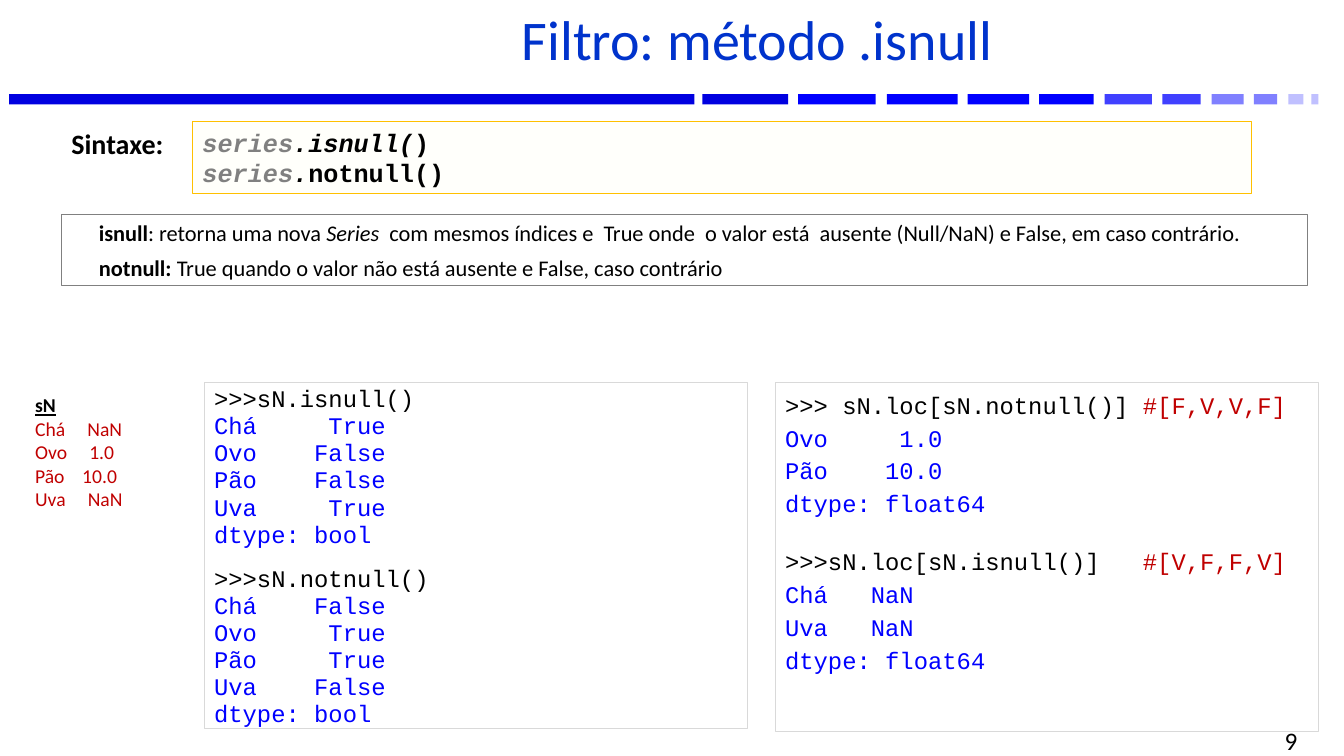
from pptx import Presentation
from pptx.dml.color import RGBColor
from pptx.enum.shapes import MSO_SHAPE
from pptx.enum.text import MSO_ANCHOR, PP_ALIGN
from pptx.util import Pt

RECT = MSO_SHAPE.RECTANGLE
TOP, MIDDLE = MSO_ANCHOR.TOP, MSO_ANCHOR.MIDDLE
LEFT, CENTER, RIGHT = PP_ALIGN.LEFT, PP_ALIGN.CENTER, PP_ALIGN.RIGHT

SANS, MONO = "Calibri", "Courier New"
BLACK, BLUE, RED, GREY = "000000", "0000FF", "C00000", "808080"

# Left edge, width and colour of each dash in the header bar
DASHES = [
    (6.5, 489.6, "0000E0"), (501.8, 61.2, "0000E0"),
    (570.2, 55.4, BLUE), (633.6, 50.4, BLUE),
    (691.2, 43.9, BLUE), (742.3, 38.9, BLUE),
    (789.1, 33.8, "4040FF"), (830.2, 27.4, "4040FF"),
    (865.4, 23, "8080FF"), (895.7, 16.6, "8080FF"),
    (920.2, 10.8, "C0C0FF"), (936.7, 5, "C0C0FF"),
]

# Console sessions: lists of (command, comment, output lines)
NULL_TESTS = [
    (">>>sN.isnull()", "",
     ["Chá     True", "Ovo    False", "Pão    False", "Uva     True", "dtype: bool"]),
    (">>>sN.notnull()", "",
     ["Chá    False", "Ovo     True", "Pão     True", "Uva    False", "dtype: bool"]),
]
NULL_FILTERS = [
    (">>> sN.loc[sN.notnull()] ", "#[F,V,V,F]",
     ["Ovo     1.0", "Pão    10.0", "dtype: float64"]),
    (">>>sN.loc[sN.isnull()]   ", "#[V,F,F,V]",
     ["Chá   NaN", "Uva   NaN", "dtype: float64"]),
]
SERIES_VALUES = ["Chá     NaN", "Ovo     1.0", "Pão    10.0", "Uva     NaN"]


def color(value):
    return RGBColor.from_string(value)


def add_rect(s, x, y, w, h, fill=None, line=None):
    sp = s.shapes.add_shape(RECT, Pt(x), Pt(y), Pt(w), Pt(h))
    sp.shadow.inherit = False
    if fill:
        sp.fill.solid()
        sp.fill.fore_color.rgb = color(fill)
    else:
        sp.fill.background()
    if line:
        sp.line.color.rgb = color(line)
        sp.line.width = Pt(0.75)
    else:
        sp.line.fill.background()
    return sp


def set_frame(sp, anchor=TOP, inset_x=7.2, inset_y=3.6):
    tf = sp.text_frame
    tf.word_wrap = True
    tf.vertical_anchor = anchor
    tf.margin_left = tf.margin_right = Pt(inset_x)
    tf.margin_top = tf.margin_bottom = Pt(inset_y)
    return tf


def add_text(s, x, y, w, h, anchor=TOP):
    return set_frame(s.shapes.add_textbox(Pt(x), Pt(y), Pt(w), Pt(h)), anchor)


def add_paragraph(tf, align=LEFT, spacing=None, before=0, after=0, margin=0, hang=0):
    p = tf.paragraphs[0]
    if p.runs:
        p = tf.add_paragraph()
        p.space_before = Pt(before)
    p.alignment = align
    p.space_after = Pt(after)
    if spacing:
        p.line_spacing = spacing
    if margin:
        pPr = p._p.get_or_add_pPr()
        pPr.set("marL", str(Pt(margin)))
        pPr.set("indent", str(Pt(-hang)))
    return p


def add_run(p, text, size, fill=BLACK, font=SANS, bold=False, italic=False, underline=False):
    r = p.add_run()
    r.text = text
    r.font.name = font
    r.font.size = Pt(size)
    r.font.color.rgb = color(fill)
    r.font.bold = bold
    r.font.italic = italic
    r.font.underline = underline


def add_console(s, x, y, w, h, sessions, spacing, gap):
    tf = set_frame(add_rect(s, x, y, w, h, line="D9D9D9"))
    layout = {"spacing": spacing, "after": 1, "margin": 36, "hang": 36}
    for command, comment, output in sessions:
        p = add_paragraph(tf, before=gap, **layout)
        add_run(p, command, 17, font=MONO)
        if comment:
            add_run(p, comment, 17, RED, MONO)
        for row in output:
            add_run(add_paragraph(tf, **layout), row, 17, BLUE, MONO)


def add_syntax(s):
    tf = add_text(s, 43.9, 87.1, 102.2, 31.7)
    add_run(add_paragraph(tf), "Sintaxe:", 20, bold=True)

    sp = add_rect(s, 137.5, 87.1, 756.7, 51.1, fill="FFFFFB", line="FFC000")
    tf = set_frame(sp, MIDDLE, inset_y=0)
    for method, method_italic, rest in [(".isnull(", True, ")"), (".", True, "notnull()")]:
        p = add_paragraph(tf)
        add_run(p, "series", 18, GREY, MONO, bold=True, italic=True)
        add_run(p, method, 18, font=MONO, bold=True, italic=method_italic)
        add_run(p, rest, 18, font=MONO, bold=True)


def add_description(s):
    tf = set_frame(add_rect(s, 43.9, 153.4, 889.9, 50.4, line=GREY), TOP, 5.8, 2.9)
    p = add_paragraph(tf, margin=63.4, hang=42.5)
    add_run(p, "isnull", 16, bold=True)
    add_run(p, ": retorna uma nova ", 16)
    add_run(p, "Series ", 16, italic=True)
    add_run(p, " com mesmos índices e  True onde  o valor está  ausente (Null/NaN) "
               "e False, em caso contrário.", 16)
    p = add_paragraph(tf, before=6, margin=63.4, hang=42.5)
    add_run(p, "notnull:", 16, bold=True)
    add_run(p, " True quando o valor não está ausente e False, caso contrário", 16)


def add_series(s):
    tf = add_text(s, 18, 277.2, 100.8, 92.2)
    add_run(add_paragraph(tf), "sN", 14, bold=True, underline=True)
    for row in SERIES_VALUES:
        add_run(add_paragraph(tf), row, 14, RED)


def main():
    prs = Presentation()
    prs.slide_width, prs.slide_height = Pt(960), Pt(540)
    s = prs.slides.add_slide(prs.slide_layouts[6])

    # Header bar and title
    for x, w, fill in DASHES:
        add_rect(s, x, 67.2, w, 7.4, fill=fill)
    tf = add_text(s, 139.7, 4.3, 802.1, 55.4, MIDDLE)
    add_run(add_paragraph(tf, CENTER, 0.8), "Filtro: método .isnull", 40, "0033CC")

    # Syntax and description
    add_syntax(s)
    add_description(s)

    # Sample series and console sessions
    add_series(s)
    add_console(s, 145.8, 273, 388.1, 247.7, NULL_TESTS, 0.9, 12)
    add_console(s, 553.7, 273.4, 388.1, 249.1, NULL_FILTERS, 1.1, 18)

    # Page number
    tf = add_text(s, 709.9, 520.6, 223.9, 15.8, MIDDLE)
    add_run(add_paragraph(tf, RIGHT), "9", 18)

    prs.save("out.pptx")


if __name__ == "__main__":
    main()
